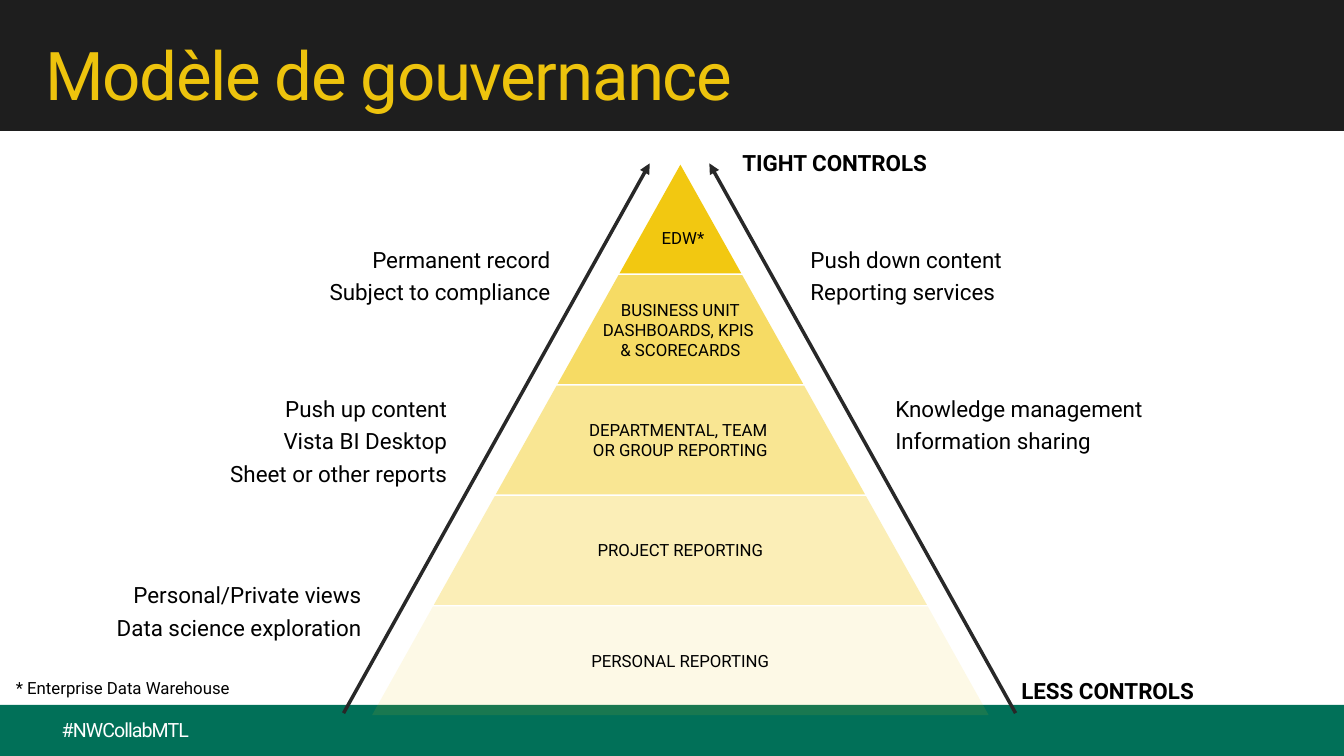
import copy

import lxml.etree
import pptx
import pptx.dml.color
import pptx.enum.shapes
import pptx.enum.text
import pptx.oxml.ns
import pptx.util

COLORS = {
    "band": "1E1E1E",
    "footer": "017058",
    "title": "EDC30D",
    "gold": "F2C811",
    "arrow": "282828",
    "text": "000000",
    "white": "FFFFFF",
}
COLUMNS, ROWS = 160, 90
ALIGN = pptx.enum.text.PP_ALIGN
NOTE = {"line_spacing": 0.9, "space_after": pptx.util.Pt(6)}


def color(name):
    return pptx.dml.color.RGBColor.from_string(COLORS[name])


def add_element(parent, tag, **attributes):
    return lxml.etree.SubElement(parent, pptx.oxml.ns.qn(tag), attributes)


class GridSlide:
    """Draws on one slide; every position is in grid columns and rows."""

    font = "Roboto"

    def __init__(self, deck):
        self.page = deck.slides.add_slide(deck.slide_layouts[6])
        self.column = deck.slide_width / COLUMNS
        self.row = deck.slide_height / ROWS

    def point(self, column, row):
        return round(column * self.column), round(row * self.row)

    def paint(self, shape, fill, opacity=100):
        shape.shadow.inherit = False
        shape.fill.solid()
        shape.fill.fore_color.rgb = color(fill)
        shape.line.fill.background()
        if opacity < 100:
            tint = shape._element.spPr.find(".//" + pptx.oxml.ns.qn("a:srgbClr"))
            add_element(tint, "a:alpha", val=str(opacity * 1000))

    def band(self, top, height, fill):
        shape = self.page.shapes.add_shape(
            pptx.enum.shapes.MSO_SHAPE.RECTANGLE,
            *self.point(0, top), *self.point(COLUMNS, height))
        self.paint(shape, fill)

    def polygon(self, corners, fill, opacity):
        start, *others = [self.point(*corner) for corner in corners]
        builder = self.page.shapes.build_freeform(*start)
        builder.add_line_segments(others, close=True)
        self.paint(builder.convert_to_shape(), fill, opacity)

    def arrow(self, start, end):
        line = self.page.shapes.add_connector(
            pptx.enum.shapes.MSO_CONNECTOR.STRAIGHT,
            *self.point(*start), *self.point(*end))
        line.line.color.rgb = color("arrow")
        line.line.width = pptx.util.Pt(2.5)
        add_element(line.line._get_or_add_ln(), "a:tailEnd", type="triangle")
        add_element(line._element.spPr, "a:effectLst")

    def text(self, paragraphs, place, size, fill="text", bold=False, wrap=False,
             grow=True, spacing=0, margins=None, **formats):
        """Add a text box; formats are set on each paragraph, \\v breaks a line."""
        left, top, width, height = place
        box = self.page.shapes.add_textbox(
            *self.point(left, top), *self.point(width, height))
        frame = box.text_frame
        frame.word_wrap = wrap
        fit = pptx.enum.text.MSO_AUTO_SIZE
        frame.auto_size = fit.SHAPE_TO_FIT_TEXT if grow else fit.NONE
        if margins:
            for side, inches in zip(("left", "top", "right", "bottom"), margins):
                setattr(frame, "margin_" + side, pptx.util.Inches(inches))
        style = {"name": self.font, "size": pptx.util.Pt(size), "bold": bold}
        for index, words in enumerate(paragraphs):
            para = frame.add_paragraph() if index else frame.paragraphs[0]
            para.text = words
            for name, value in formats.items():
                setattr(para, name, value)
            for span in para.runs:
                for name, value in style.items():
                    setattr(span.font, name, value)
                span.font.color.rgb = color(fill)
                if spacing:
                    span._r.get_or_add_rPr().set("spc", str(spacing))
            for line_break in para._p.findall(pptx.oxml.ns.qn("a:br")):
                line_break.append(copy.deepcopy(para.runs[0]._r.rPr))


def draw_pyramid(slide):
    center, apex, pitch, height, slope = 81, 19.6, 13.15, 12.95, 0.56
    for tier, opacity in enumerate((100, 65, 45, 30, 10)):
        top = apex + tier * pitch
        bottom = top + height
        upper, lower = (slope * (row - apex) for row in (top, bottom))
        corners = [(center - upper, top), (center + upper, top),
                   (center + lower, bottom), (center - lower, bottom)]
        slide.polygon(dict.fromkeys(corners), "gold", opacity)

    labels = (
        (["EDW*"], 81.3, 26.5, 7.8, 3.6),
        (["BUSINESS UNIT", "DASHBOARDS, KPIS \v& SCORECARDS"], center, 35.1, 21.4, 8.5),
        (["DEPARTMENTAL, TEAM \vOR GROUP REPORTING"], center, 49.4, 24.7, 6),
        (["PROJECT REPORTING"], center, 63.7, 22.1, 3.6),
        (["PERSONAL REPORTING"], center, 76.9, 23.9, 3.6),
    )
    for lines, middle, top, width, height in labels:
        slide.text(lines, (middle - width / 2, top, width, height), 12,
                   alignment=ALIGN.CENTER)


def draw_notes(slide):
    slide.text(["TIGHT CONTROLS"], (87.2, 17.2, 25.3, 4.4), 16, bold=True)
    slide.text(["LESS CONTROLS"], (120.4, 80, 23, 4.4), 16, bold=True)
    notes = (
        (["Personal/Private views", "Data science exploration"],
         ALIGN.RIGHT, (9.2, 69, 35, 8)),
        (["Push up content", "Vista BI Desktop", "Sheet or other reports"],
         ALIGN.RIGHT, (22.6, 46.8, 31.8, 12)),
        (["Knowledge management", "Information sharing"],
         ALIGN.LEFT, (105.4, 46.8, 35.2, 8)),
        (["Permanent record", "Subject to compliance"],
         ALIGN.RIGHT, (34.6, 29.05, 32.1, 8)),
        (["Push down content", "Reporting services"],
         ALIGN.LEFT, (95.3, 29.05, 29, 8)),
    )
    for lines, alignment, place in notes:
        slide.text(lines, place, 16, wrap=True, alignment=alignment, **NOTE)


def main():
    deck = pptx.Presentation()
    deck.slide_width = pptx.util.Inches(13.33)
    deck.slide_height = pptx.util.Inches(7.5)
    slide = GridSlide(deck)
    slide.band(83.9, 6.1, "footer")
    slide.text(["#NWCollabMTL"], (7.35, 85.45, 24, 2.9), 14, "white",
               wrap=True, spacing=-70, margins=(0, 0, 0, 0))
    slide.band(0, 15.6, "band")
    slide.text(["Modèle de gouvernance"], (3.5, 3.8, 152.9, 11.8), 48, "title",
               wrap=True, grow=False, spacing=-100,
               margins=(0.16, 0.1, 0.16, 0.1), line_spacing=0.9)
    draw_pyramid(slide)
    draw_notes(slide)
    for side in (1, -1):
        slide.arrow((80.9 + side * 40, 84.9), (80.9 + side * 3.55, 19.45))
    slide.text(["* Enterprise Data Warehouse"], (0.7, 80.05, 28.8, 3.6), 12)
    deck.save("out.pptx")


if __name__ == "__main__":
    main()
